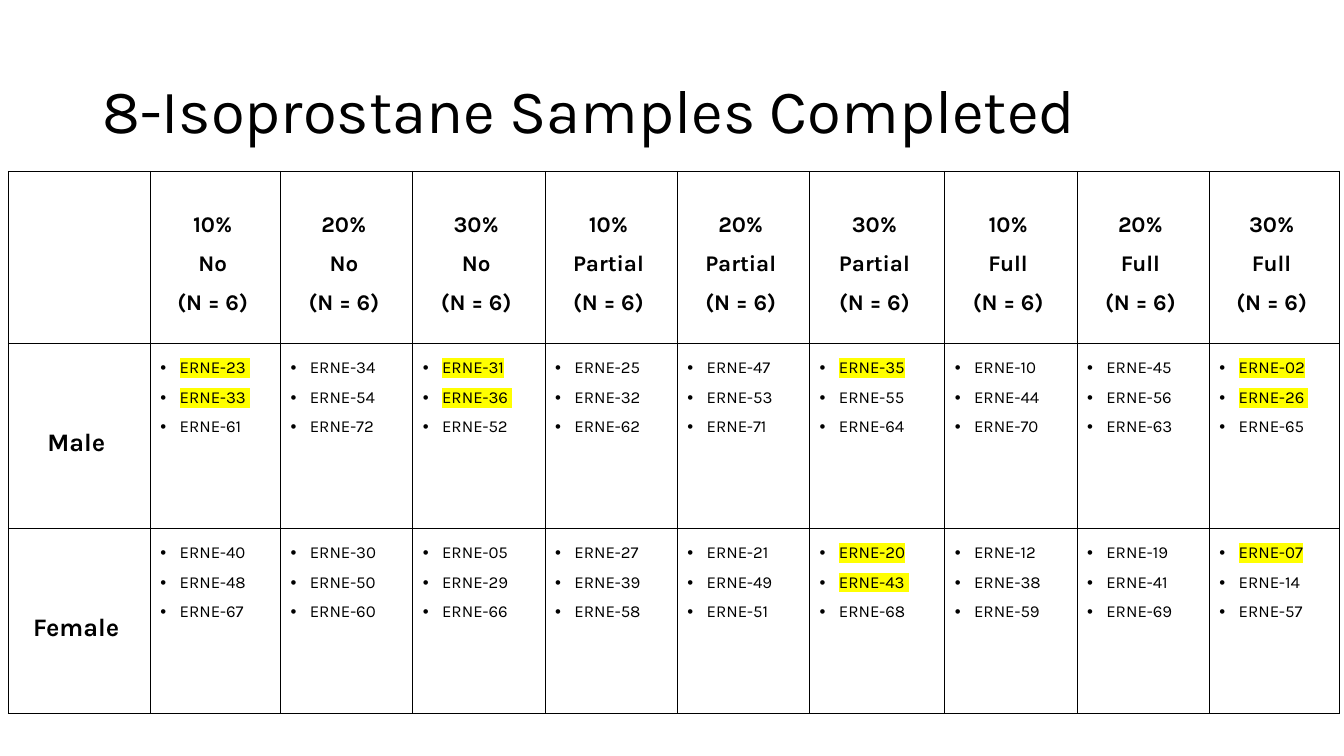
from lxml import etree
from pptx import Presentation, util as u
from pptx.dml.color import RGBColor
from pptx.enum import text
from pptx.oxml.ns import qn

COLORS = {"ink": "000000", "mark": "FFFF00"}
NBSP = chr(160)

# Sample numbers: one tuple per treatment group
SAMPLES = {
    "Male": [(23, 33, 61), (34, 54, 72), (31, 36, 52),
             (25, 32, 62), (47, 53, 71), (35, 55, 64),
             (10, 44, 70), (45, 56, 63), (2, 26, 65)],
    "Female": [(40, 48, 67), (30, 50, 60), (5, 29, 66),
               (27, 39, 58), (21, 49, 51), (20, 43, 68),
               (12, 38, 59), (19, 41, 69), (7, 14, 57)],
}
COMPLETED = {23, 33, 31, 36, 35, 2, 26, 20, 43, 7}
SPACED_FIRST = {23, 19}  # first samples that end in a hard space
GROUPS = [(f"{dose}%", level, "(N = 6)")
          for level in ("No", "Partial", "Full") for dose in (10, 20, 30)]


class Deck:
    """Slide on a grid of 160 columns by 90 rows."""
    FONT = "Karla"
    BULLET_INDENT = u.Inches(0.19)

    def __init__(self):
        self.prs = Presentation()
        self.prs.slide_width, self.prs.slide_height = u.Inches(13.33), u.Inches(7.5)
        self.s = self.prs.slides.add_slide(self.prs.slide_layouts[6])

    def x(self, cols):
        return round(self.prs.slide_width * cols / 160)

    def y(self, rows):
        return round(self.prs.slide_height * rows / 90)

    def style(self, p, size, bold=False, mark=False):
        for r in p.runs:
            r.font.size, r.font.bold = u.Pt(size), bold
            r.font.color.rgb = RGBColor.from_string(COLORS["ink"])
            if mark:
                hl = etree.SubElement(r.font._element, qn("a:highlight"))
                etree.SubElement(hl, qn("a:srgbClr"), val=COLORS["mark"])
            r.font.name = self.FONT

    def title(self, words, col, row, cols, rows):
        sp = self.s.shapes.add_textbox(self.x(col), self.y(row), self.x(cols), self.y(rows))
        tf = sp.text_frame
        tf.word_wrap = True
        tf.vertical_anchor = text.MSO_ANCHOR.MIDDLE
        tf.text = words
        tf.paragraphs[0].line_spacing = 0.9
        self.style(tf.paragraphs[0], 44)

    def table(self, col, row, widths, heights):
        tbl = self.s.shapes.add_table(
            len(heights), len(widths), self.x(col), self.y(row),
            self.x(sum(widths)), self.y(sum(heights))).table
        tbl.first_row = tbl.horz_banding = False
        for column, width in zip(tbl.columns, widths):
            column.width = self.x(width)
        for line, height in zip(tbl.rows, heights):
            line.height = self.y(height)
        for cell in tbl.iter_cells():
            cell.fill.background()
            self.borders(cell)
        return tbl

    def borders(self, cell):
        tc_pr = cell._tc.get_or_add_tcPr()
        for i, side in enumerate("LRTB"):
            ln = etree.Element(qn(f"a:ln{side}"), w=str(u.Pt(0.75)))
            fill = etree.SubElement(ln, qn("a:solidFill"))
            etree.SubElement(fill, qn("a:srgbClr"), val=COLORS["ink"])
            tc_pr.insert(i, ln)

    def heading(self, cell, lines, size):
        cell.vertical_anchor = text.MSO_ANCHOR.MIDDLE
        cell.text_frame.text = "\n".join(line + NBSP for line in lines)
        for p in cell.text_frame.paragraphs:
            p.alignment, p.line_spacing = text.PP_ALIGN.CENTER, 1.5
            self.style(p, size, bold=True)

    def samples(self, cell, numbers):
        cell.text_frame.text = "\n".join(
            f"ERNE-{n:02}" + (NBSP if i or n in SPACED_FIRST else "")
            for i, n in enumerate(numbers))
        for p, n in zip(cell.text_frame.paragraphs, numbers):
            p_pr = p._p.get_or_add_pPr()
            p_pr.set("marL", str(self.BULLET_INDENT))
            p_pr.set("indent", str(-self.BULLET_INDENT))
            etree.SubElement(p_pr, qn("a:buFont"), typeface="Arial")
            etree.SubElement(p_pr, qn("a:buChar"), char="•")
            p.alignment, p.line_spacing = text.PP_ALIGN.JUSTIFY, 1.5
            self.style(p, 12, mark=n in COMPLETED)


def main():
    deck = Deck()

    # Title
    deck.title("8-Isoprostane Samples Completed", 11, 4.8, 138, 17.4)

    # Table grid
    end, mid = 15.5, 15.75
    widths = [16.9, end, mid, mid, mid, mid, 16.1, mid, mid, end]
    tbl = deck.table(1, 20.4, widths, [20.5, 22, 22])

    # Group headings
    for j, group in enumerate(GROUPS, 1):
        deck.heading(tbl.cell(0, j), group, 16)

    # Samples by sex
    for i, (sex, groups) in enumerate(SAMPLES.items(), 1):
        deck.heading(tbl.cell(i, 0), [sex], 18)
        for j, numbers in enumerate(groups, 1):
            deck.samples(tbl.cell(i, j), numbers)

    deck.prs.save("out.pptx")


if __name__ == "__main__":
    main()
